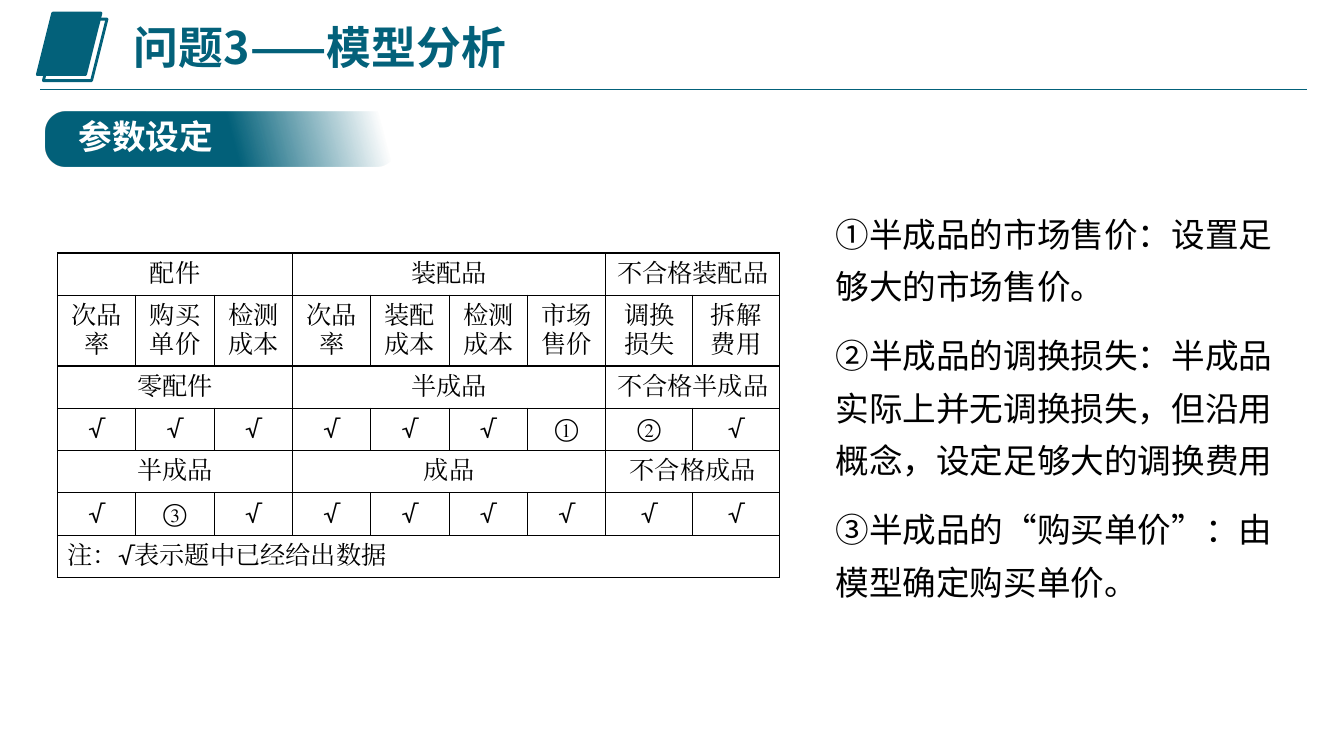
"""Build the parameter-setting slide of the model analysis for problem 3."""
import lxml.etree
import pptx
import pptx.dml.color
import pptx.enum.shapes
import pptx.enum.text
import pptx.oxml
import pptx.oxml.ns
import pptx.util

TEAL, BLACK, WHITE = "03617A", "000000", "FFFFFF"
SANS, SERIF = "Noto Sans CJK SC", "Cambria"
rgb = pptx.dml.color.RGBColor.from_string
qn = pptx.oxml.ns.qn
shape_kind = pptx.enum.shapes.MSO_SHAPE

deck = pptx.Presentation()
deck.slide_width = pptx.util.Inches(13.33)
deck.slide_height = pptx.util.Inches(7.5)
slide = deck.slides.add_slide(deck.slide_layouts[6])
shapes = slide.shapes


def share(*percents):
    """Turn alternating percents of slide width and height into lengths."""
    sides = (deck.slide_width, deck.slide_height)
    return [int(sides[i % 2] * p / 100) for i, p in enumerate(percents)]


def style(paragraph, size, color, latin, east_asian, bold=False):
    """Format every run of a paragraph."""
    for run in paragraph.runs:
        run.font.size = pptx.util.Pt(size)
        run.font.bold = bold
        run.font.color.rgb = rgb(color)
        run.font.name = latin
        lxml.etree.SubElement(run.font._element, qn("a:ea"), typeface=east_asian)


for offset_x, offset_y, filled in ((0, 0, True), (0.45, 0.8, False)):
    page = shapes.add_shape(shape_kind.PARALLELOGRAM,
                            *share(2.78 + offset_x, 1.73 + offset_y, 4.73, 8.13))
    page.shadow.inherit = False
    if filled:
        page.fill.solid()
        page.fill.fore_color.rgb = rgb(TEAL)
    else:
        page.fill.background()
    page.line.color.rgb = rgb(TEAL)
    page.line.width = pptx.util.Pt(2)

title_rule = shapes.add_connector(pptx.enum.shapes.MSO_CONNECTOR.STRAIGHT,
                                  *share(3, 11.87, 97.28, 11.87))
title_rule.line.color.rgb = rgb(TEAL)
title_rule.line.width = pptx.util.Pt(0.75)
lxml.etree.SubElement(title_rule._element.spPr, qn("a:effectLst"))

badge = shapes.add_shape(shape_kind.ROUNDED_RECTANGLE, *share(3.38, 14.8, 26.1, 7.2))
badge.adjustments[0] = 0.37
badge.shadow.inherit = False
badge.line.fill.background()
badge.fill.gradient()
gradient = badge._element.spPr.find(qn("a:gradFill"))
stops = gradient.find(qn("a:gsLst"))
for stop in list(stops):
    stops.remove(stop)
for position, alpha in ((0, 100), (53, 100), (95, 0)):
    stop = lxml.etree.SubElement(stops, qn("a:gs"), pos=str(position * 1000))
    stop_color = lxml.etree.SubElement(stop, qn("a:srgbClr"), val=TEAL)
    lxml.etree.SubElement(stop_color, qn("a:alpha"), val=str(alpha * 1000))
badge.fill.gradient_angle = 15

headings = (
    ("问题3——模型分析", (9.23, 2.8, 64.95, 8.93), 32, TEAL),
    ("参数设定", (5.1, 15.33, 17.18, 6.67), 24, WHITE),
)
for wording, place, size, color in headings:
    heading = shapes.add_textbox(*share(*place)).text_frame
    heading.word_wrap = True
    heading.text = wording
    heading.paragraphs[0].line_spacing = 0.9
    style(heading.paragraphs[0], size, color, SANS, SANS, bold=True)

GROUPS = (3, 4, 2)
parameter_rows = (
    ("配件", "装配品", "不合格装配品"),
    ("次品率", "购买单价", "检测成本", "次品率", "装配成本", "检测成本",
     "市场售价", "调换损失", "拆解费用"),
    ("零配件", "半成品", "不合格半成品"),
    "√√√√√√①②√",
    ("半成品", "成品", "不合格成品"),
    "√③√√√√√√√",
    ("注：√表示题中已经给出数据",),
)
column_shares = [5.83] * 7 + [6.47] * 2
row_share = 5.6
row_count, column_count = len(parameter_rows), len(column_shares)
parameters = shapes.add_table(
    row_count, column_count,
    *share(4.28, 33.47, sum(column_shares), row_share * row_count)).table
parameters.first_row = parameters.horz_banding = False
for column, width in zip(parameters.columns, column_shares):
    column.width = share(width)[0]
for row in parameters.rows:
    row.height = share(0, row_share)[1]

for cell in parameters.iter_cells():
    cell_properties = cell._tc.get_or_add_tcPr()
    for side in ("a:lnL", "a:lnR", "a:lnT", "a:lnB"):
        border = lxml.etree.SubElement(cell_properties, qn(side),
                                       w=str(pptx.util.Pt(1)))
        border_fill = lxml.etree.SubElement(border, qn("a:solidFill"))
        lxml.etree.SubElement(border_fill, qn("a:srgbClr"), val=BLACK)
    cell.fill.background()

spans_by_length = {3: GROUPS, 9: (1,) * 9, 1: (9,)}
for row_index, entries in enumerate(parameter_rows):
    column_index = 0
    for entry, span in zip(entries, spans_by_length[len(entries)]):
        cell = parameters.cell(row_index, column_index)
        if span > 1:
            cell.merge(parameters.cell(row_index, column_index + span - 1))
        cell.vertical_anchor = pptx.enum.text.MSO_ANCHOR.MIDDLE
        cell.text_frame.text = entry
        paragraph = cell.text_frame.paragraphs[0]
        if span < column_count:
            paragraph.alignment = pptx.enum.text.PP_ALIGN.CENTER
        style(paragraph, 18, BLACK, SERIF, SERIF)
        column_index += span

explanations = shapes.add_textbox(*share(61.43, 26, 35.85, 54.8)).text_frame
explanations.word_wrap = True
explanations.auto_size = pptx.enum.text.MSO_AUTO_SIZE.SHAPE_TO_FIT_TEXT
explanations.text = "\n".join((
    "①半成品的市场售价：设置足够大的市场售价。",
    "②半成品的调换损失：半成品实际上并无调换损失，但沿用概念，设定足够大的调换费用",
    "③半成品的“购买单价”：由模型确定购买单价。",
))
for paragraph in explanations.paragraphs:
    paragraph.line_spacing = 1.3
    paragraph.space_after = pptx.util.Pt(12)
    style(paragraph, 24, BLACK, SERIF, SANS)

deck.save("out.pptx")
